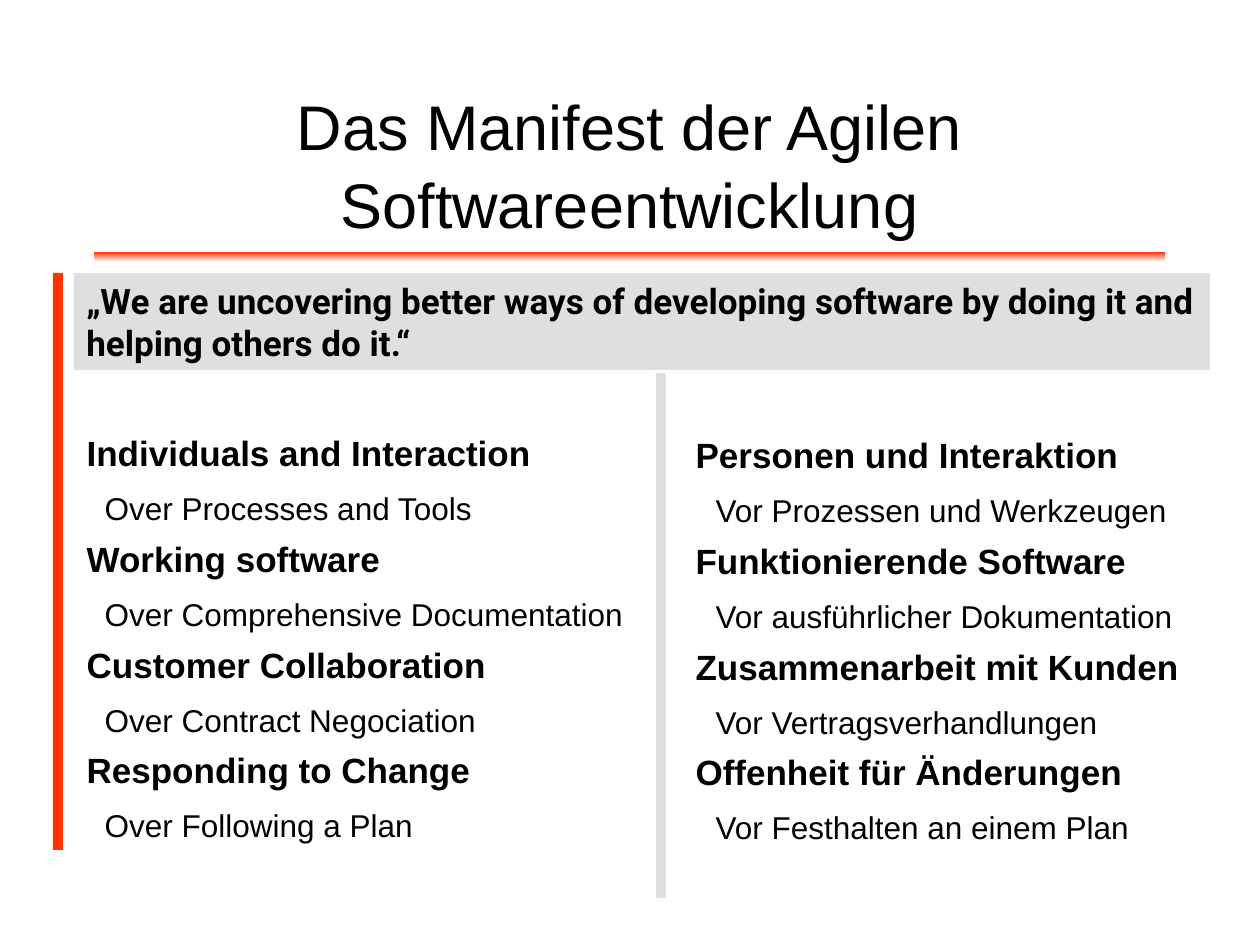
from dataclasses import dataclass

from lxml import etree
from pptx import Presentation
from pptx.dml.color import RGBColor
from pptx.enum.shapes import MSO_SHAPE
from pptx.enum.text import MSO_ANCHOR, MSO_AUTO_SIZE, PP_ALIGN
from pptx.oxml.ns import qn
from pptx.shapes.autoshape import Shape
from pptx.slide import Slide
from pptx.text.text import _Paragraph
from pptx.util import Pt

RECT = MSO_SHAPE.RECTANGLE
TOP, MIDDLE = MSO_ANCHOR.TOP, MSO_ANCHOR.MIDDLE
LEFT, CENTER = PP_ALIGN.LEFT, PP_ALIGN.CENTER
FIXED = MSO_AUTO_SIZE.NONE
SCALE = 914400 / 126


@dataclass(frozen=True)
class Theme:
    ink: RGBColor = RGBColor(0, 0, 0)
    white: RGBColor = RGBColor(255, 255, 255)
    red: RGBColor = RGBColor(0xFF, 0x33, 0x00)
    gray: RGBColor = RGBColor(0xC0, 0xC0, 0xC0)
    alpha: int = 50
    sans: str = "Arial"
    quote: str = "Roboto"
    title: int = 36
    head: int = 20
    sub: int = 18
    lead: float = 1.04


@dataclass(frozen=True)
class Box:
    x: int
    y: int
    w: int
    h: int


@dataclass(frozen=True)
class Column:
    box: Box
    indent: int
    pairs: tuple[tuple[str, str], ...]


THEME = Theme()
COLUMNS = (
    Column(Box(74, 424, 596, 483), 18, (
        ("Individuals and Interaction", "Over Processes and Tools"),
        ("Working software", "Over Comprehensive Documentation"),
        ("Customer Collaboration", "Over Contract Negociation"),
        ("Responding to Change", "Over Following a Plan"),
    )),
    Column(Box(683, 426, 596, 483), 20, (
        ("Personen und Interaktion", "Vor Prozessen und Werkzeugen"),
        ("Funktionierende Software", "Vor ausführlicher Dokumentation"),
        ("Zusammenarbeit mit Kunden", "Vor Vertragsverhandlungen"),
        ("Offenheit für Änderungen", "Vor Festhalten an einem Plan"),
    )),
)


def px(n: int) -> int:
    return round(n * SCALE)


def place(shape: Shape, box: Box) -> None:
    shape.left, shape.top = px(box.x), px(box.y)
    shape.width, shape.height = px(box.w), px(box.h)


def frame(shape: Shape, anchor: MSO_ANCHOR) -> None:
    text = shape.text_frame
    text.word_wrap = True
    text.auto_size = FIXED
    text.vertical_anchor = anchor


def style(para: _Paragraph, size: int, bold: bool = False,
          face: str = THEME.sans, align: PP_ALIGN = LEFT) -> None:
    para.alignment = align
    for run in para.runs:
        run.font.name = face
        run.font.size = Pt(size)
        run.font.bold = bold
        run.font.color.rgb = THEME.ink


def bar(slide: Slide, box: Box, color: RGBColor, alpha: int = 100) -> Shape:
    shape = slide.shapes.add_shape(RECT, *map(px, (box.x, box.y, box.w, box.h)))
    shape.shadow.inherit = False
    shape.line.fill.background()
    shape.fill.solid()
    shape.fill.fore_color.rgb = color
    if alpha < 100:
        node = shape.fill._xPr.find(".//" + qn("a:srgbClr"))
        etree.SubElement(node, qn("a:alpha"), val=str(alpha * 1000))
    return shape


def fade(shape: Shape) -> None:
    shape.fill.gradient()
    shape.fill.gradient_angle = 90
    for stop, color in zip(shape.fill.gradient_stops, (THEME.white, THEME.red)):
        stop.color.rgb = color


def fill_list(shape: Shape, col: Column) -> None:
    place(shape, col.box)
    frame(shape, TOP)
    lines = [line for pair in col.pairs for line in pair]
    shape.text_frame.text = "\n".join(lines)
    for i, para in enumerate(shape.text_frame.paragraphs):
        is_sub = i % 2 == 1
        props = para._p.get_or_add_pPr()
        props.set("marL", str(px(col.indent) if is_sub else 0))
        props.set("indent", "0")
        etree.SubElement(props, qn("a:buNone"))
        para.line_spacing = THEME.lead
        para.space_before = Pt(8 if is_sub else 5 if i else 0)
        style(para, THEME.sub if is_sub else THEME.head, not is_sub)


def main() -> None:
    deck = Presentation()
    deck.slide_width, deck.slide_height = px(1260), px(945)
    slide = deck.slides.add_slide(deck.slide_layouts[3])
    title, *lists = slide.placeholders

    bar(slide, Box(53, 273, 10, 577), THEME.red)
    fade(bar(slide, Box(94, 252, 1071, 10), THEME.red))

    place(title, Box(94, 64, 1071, 198))
    frame(title, MIDDLE)
    title.text_frame.text = "Das Manifest der Agilen Softwareentwicklung"
    para = title.text_frame.paragraphs[0]
    para.line_spacing = THEME.lead
    style(para, THEME.title, align=CENTER)

    quote = bar(slide, Box(74, 273, 1136, 97), THEME.gray, THEME.alpha)
    frame(quote, TOP)
    quote.text_frame.text = (
        "„We are uncovering better ways of developing software "
        "by doing it and helping others do it.“"
    )
    style(quote.text_frame.paragraphs[0], THEME.head, True, THEME.quote)

    bar(slide, Box(656, 373, 10, 525), THEME.gray, THEME.alpha)
    for shape, col in zip(lists, COLUMNS):
        fill_list(shape, col)

    deck.save("out.pptx")


if __name__ == "__main__":
    main()
